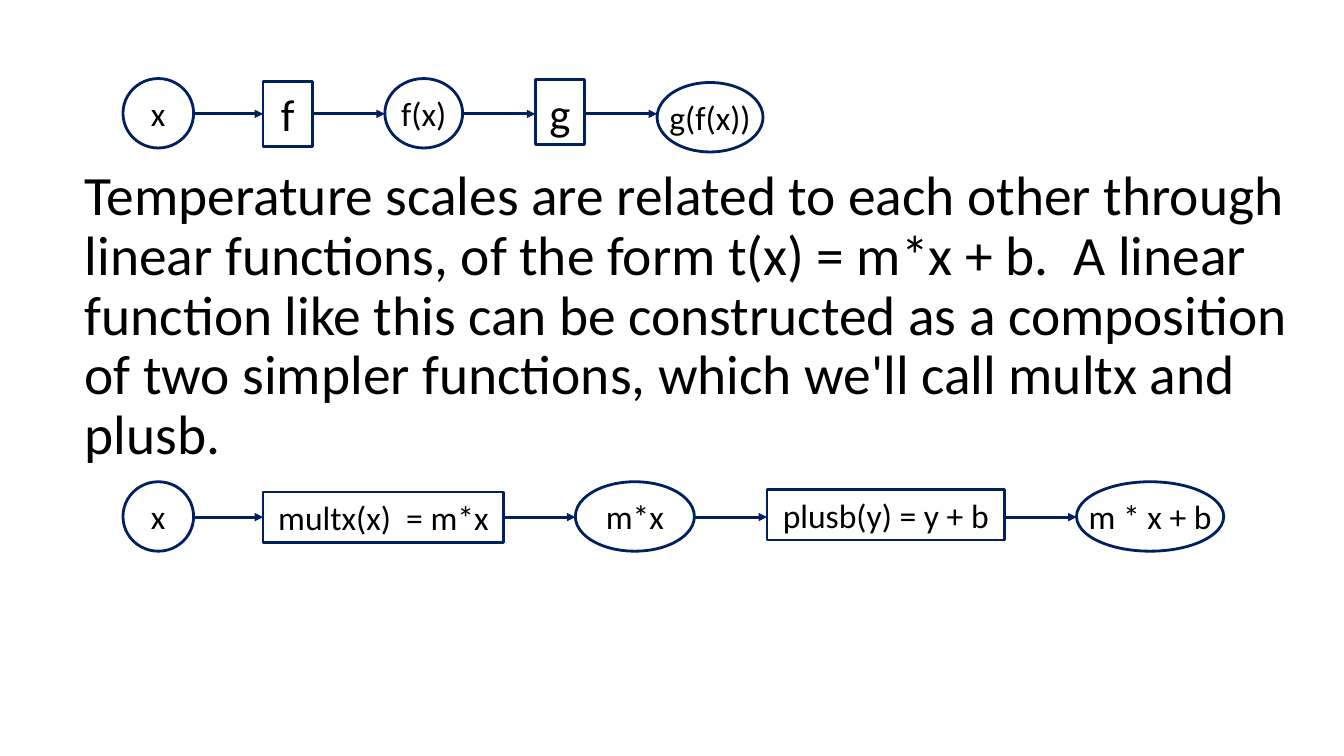
import pptx
import pptx.util
import pptx.dml.color
import pptx.enum.shapes
import pptx.enum.text
from lxml import etree
from pptx.oxml.ns import qn

Cm, Pt = pptx.util.Cm, pptx.util.Pt
NAVY = pptx.dml.color.RGBColor(0x00, 0x20, 0x60)
BLACK = pptx.dml.color.RGBColor(0, 0, 0)
KIND = pptx.enum.shapes.MSO_SHAPE
ALIGN = pptx.enum.text.PP_ALIGN
MIDDLE = pptx.enum.text.MSO_ANCHOR.MIDDLE

deck = pptx.Presentation()
deck.slide_width, deck.slide_height = Cm(33.87), Cm(19.05)
slide = deck.slides.add_slide(deck.slide_layouts[5])


def style(frame, text, size, align):
    frame.text = text
    frame.vertical_anchor = MIDDLE
    line = frame.paragraphs[0]
    line.alignment = align
    line.font.name = "Calibri"
    line.font.size = Pt(size)
    line.font.color.rgb = BLACK
    return line


# Title
title = slide.shapes.title
title.left, title.top = Cm(1.88), Cm(4.65)
title.width, title.height = Cm(31.14), Cm(6.68)
words = ("Temperature scales are related to each other through linear functions, "
         "of the form t(x) = m*x + b.  A linear function like this can be "
         "constructed as a composition of two simpler functions, "
         "which we'll call multx and plusb.")
title.text_frame.word_wrap = True
title.text_frame.auto_size = pptx.enum.text.MSO_AUTO_SIZE.NONE
style(title.text_frame, words, 39.6, ALIGN.LEFT).line_spacing = 0.9

# Flows: arrow height, then nodes as text, kind, left, top, width, height, size
flows = [
    (2.87, [
        ("x", KIND.OVAL, 3.1, 1.98, 1.78, 1.75, 24),
        ("f", KIND.RECTANGLE, 6.63, 2.06, 1.24, 1.63, 32),
        ("f(x)", KIND.OVAL, 9.7, 1.98, 1.96, 1.75, 24),
        ("g", KIND.RECTANGLE, 13.49, 2.01, 1.24, 1.63, 32),
        ("g(f(x))", KIND.OVAL, 16.56, 2.08, 2.67, 1.75, 24),
    ]),
    (13.03, [
        ("x", KIND.OVAL, 3.1, 12.14, 1.78, 1.75, 24),
        ("multx(x)  = m*x", KIND.RECTANGLE, 6.63, 12.4, 6.07, 1.27, 24),
        ("m*x", KIND.OVAL, 14.5, 12.14, 3, 1.75, 24),
        ("plusb(y) = y + b", KIND.RECTANGLE, 19.33, 12.34, 5.99, 1.27, 24),
        ("m * x + b", KIND.OVAL, 27.13, 12.14, 3.71, 1.75, 24),
    ]),
]

for level, nodes in flows:
    # Nodes
    for text, kind, left, top, width, height, size in nodes:
        node = slide.shapes.add_shape(kind, Cm(left), Cm(top), Cm(width), Cm(height))
        node.shadow.inherit = False
        node.fill.background()
        node.line.color.rgb = NAVY
        node.line.width = Pt(2)
        frame = node.text_frame
        frame.word_wrap = False
        frame.margin_left = frame.margin_right = 0
        frame.margin_top = frame.margin_bottom = 0
        style(frame, text, size, ALIGN.CENTER)

    # Arrows from each node to the next
    for here, there in zip(nodes, nodes[1:]):
        arrow = slide.shapes.add_connector(
            pptx.enum.shapes.MSO_CONNECTOR.STRAIGHT,
            Cm(here[2] + here[4]), Cm(level), Cm(there[2]), Cm(level))
        arrow.line.color.rgb = NAVY
        arrow.line.width = Pt(2)
        etree.SubElement(arrow.line._get_or_add_ln(), qn("a:tailEnd"), type="triangle")
        etree.SubElement(arrow._element.spPr, qn("a:effectLst"))

deck.save("out.pptx")
